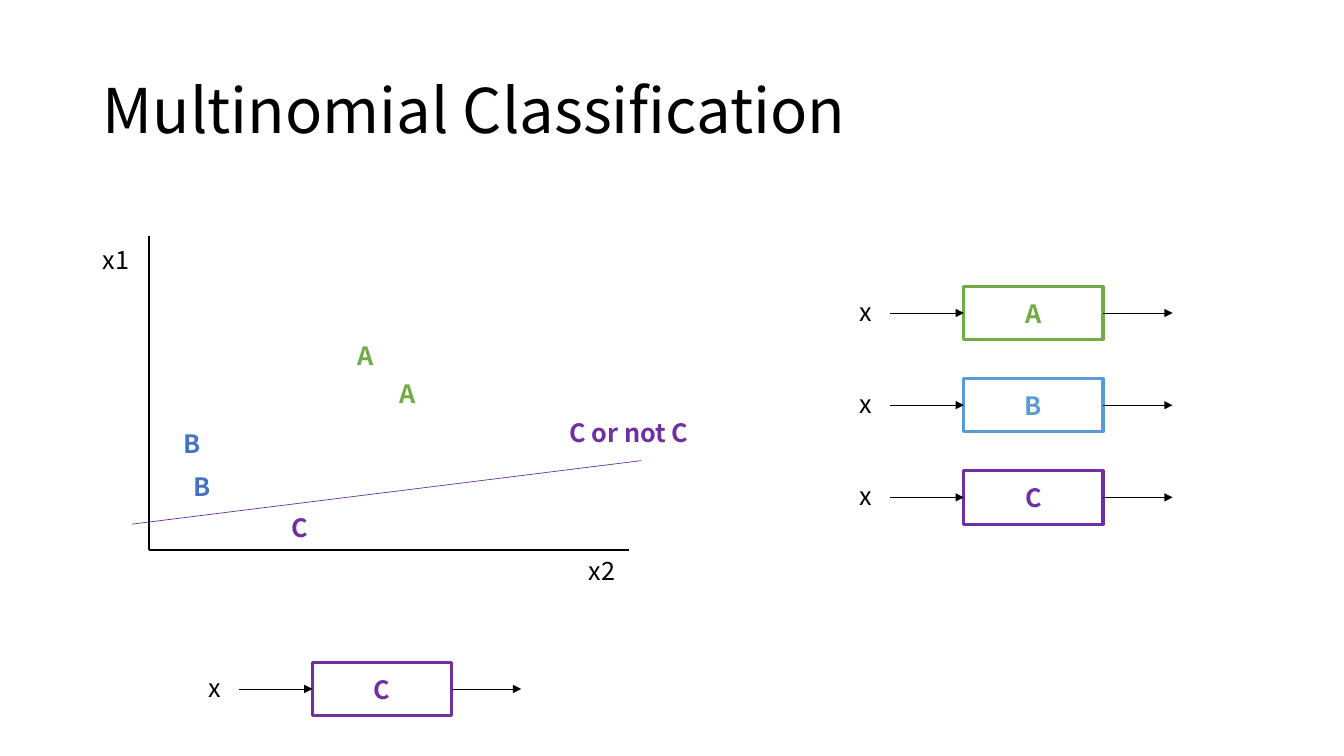
from dataclasses import dataclass

from lxml import etree
from pptx import Presentation
from pptx.dml.color import RGBColor
from pptx.enum.shapes import MSO_CONNECTOR, MSO_SHAPE
from pptx.enum.text import MSO_ANCHOR, PP_ALIGN
from pptx.oxml.ns import qn
from pptx.util import Inches, Pt

STRAIGHT = MSO_CONNECTOR.STRAIGHT
RECTANGLE = MSO_SHAPE.RECTANGLE
LEFT, CENTER = PP_ALIGN.LEFT, PP_ALIGN.CENTER
TOP, MIDDLE = MSO_ANCHOR.TOP, MSO_ANCHOR.MIDDLE


@dataclass(frozen=True)
class Theme:
    """Colours, font and sizes of the slide."""
    font: str = "Noto Sans CJK KR"
    black: str = "000000"
    white: str = "FFFFFF"
    green: str = "70AD47"
    blue: str = "4472C4"
    sky: str = "5B9BD5"
    purple: str = "7030A0"
    title_size: float = 44
    label_size: float = 18
    thin: float = 0.5
    axis: float = 1.5
    border: float = 2.25


THEME = Theme()


def write(shape, text, color, size=THEME.label_size, bold=False, align=LEFT, anchor=TOP):
    """Put one formatted line of text into a shape."""
    frame = shape.text_frame
    frame.word_wrap = True
    frame.vertical_anchor = anchor
    para = frame.paragraphs[0]
    para.alignment = align
    span = para.add_run()
    span.text = text
    formats = {"name": THEME.font, "size": Pt(size), "bold": bold}
    for name, value in formats.items():
        setattr(span.font, name, value)
    span.font.color.rgb = RGBColor.from_string(color)
    return para


def add_label(page, text, left, top, color=THEME.black, width=0.5, **formats):
    """Add a text label at the given place."""
    box = page.shapes.add_textbox(Inches(left), Inches(top), Inches(width), Inches(0.4))
    write(box, text, color, **formats)


def add_line(page, start, end, color=THEME.black, width=THEME.thin, arrow=False):
    """Draw a straight line, with an arrowhead at its end if wanted."""
    points = [Inches(value) for value in (*start, *end)]
    line = page.shapes.add_connector(STRAIGHT, *points)
    line.line.color.rgb = RGBColor.from_string(color)
    line.line.width = Pt(width)
    if arrow:
        etree.SubElement(line.line._get_or_add_ln(), qn("a:tailEnd"), type="triangle")
    etree.SubElement(line._element.spPr, qn("a:effectLst"))


def add_title(page, text, left, top, width, height):
    """Place and fill the title placeholder."""
    title = page.shapes.title
    place = {"left": left, "top": top, "width": width, "height": height}
    for name, value in place.items():
        setattr(title, name, Inches(value))
    para = write(title, text, THEME.black, THEME.title_size, anchor=MIDDLE)
    para.line_spacing = 0.9


def add_plot(page, left, top, width, height):
    """Draw the axes, the labelled points and the boundary of class C."""
    bottom = top + height
    origin = (left, bottom)
    add_line(page, (left, top), origin, width=THEME.axis)
    add_line(page, origin, (left + width, bottom), width=THEME.axis)
    add_label(page, "x1", left - 0.56, top + 0.03)
    add_label(page, "x2", left + width - 0.5, bottom)
    points = [
        ("A", 1.97, 0.99, THEME.green),
        ("A", 2.38, 1.36, THEME.green),
        ("B", 0.24, 1.86, THEME.blue),
        ("B", 0.34, 2.29, THEME.blue),
        ("C", 1.31, 2.69, THEME.purple),
    ]
    for text, across, down, color in points:
        add_label(page, text, left + across, top + down, color, bold=True)
    add_line(page, (left - 0.17, top + 2.86), (left + 4.88, top + 2.23), THEME.purple)
    add_label(page, "C or not C", left + 4.07, top + 1.75, THEME.purple, 1.63, bold=True)


def add_classifier(page, name, color, left, top, width=1.38, height=0.53):
    """Draw a classifier box with its input x and its output arrow."""
    middle, right = top + height / 2, left + width
    box = page.shapes.add_shape(
        RECTANGLE, Inches(left), Inches(top), Inches(width), Inches(height))
    box.shadow.inherit = False
    box.fill.solid()
    box.fill.fore_color.rgb = RGBColor.from_string(THEME.white)
    box.line.color.rgb = RGBColor.from_string(color)
    box.line.width = Pt(THEME.border)
    write(box, name, color, bold=True, align=CENTER, anchor=MIDDLE)
    add_line(page, (left - 0.73, middle), (left, middle), arrow=True)
    add_line(page, (right, middle), (right + 0.69, middle), arrow=True)
    add_label(page, "x", left - 1.22, top + 0.05, align=CENTER)


def add_classifier_stack(page, left, top, pitch):
    """Stack one classifier for each class at equal steps."""
    classes = [("A", THEME.green), ("B", THEME.sky), ("C", THEME.purple)]
    for row, (name, color) in enumerate(classes):
        add_classifier(page, name, color, left, top + row * pitch)


def main():
    """Build and save the slide."""
    deck = Presentation()
    deck.slide_width, deck.slide_height = Inches(13.33), Inches(7.5)
    page = deck.slides.add_slide(deck.slide_layouts[5])
    add_title(page, "Multinomial Classification", 0.92, 0.4, 11.5, 1.45)
    add_plot(page, 1.48, 2.34, 4.76, 3.12)
    add_classifier(page, "C", THEME.purple, 3.1, 6.57)
    add_classifier_stack(page, 9.56, 2.84, 0.915)
    deck.save("out.pptx")


if __name__ == "__main__":
    main()
